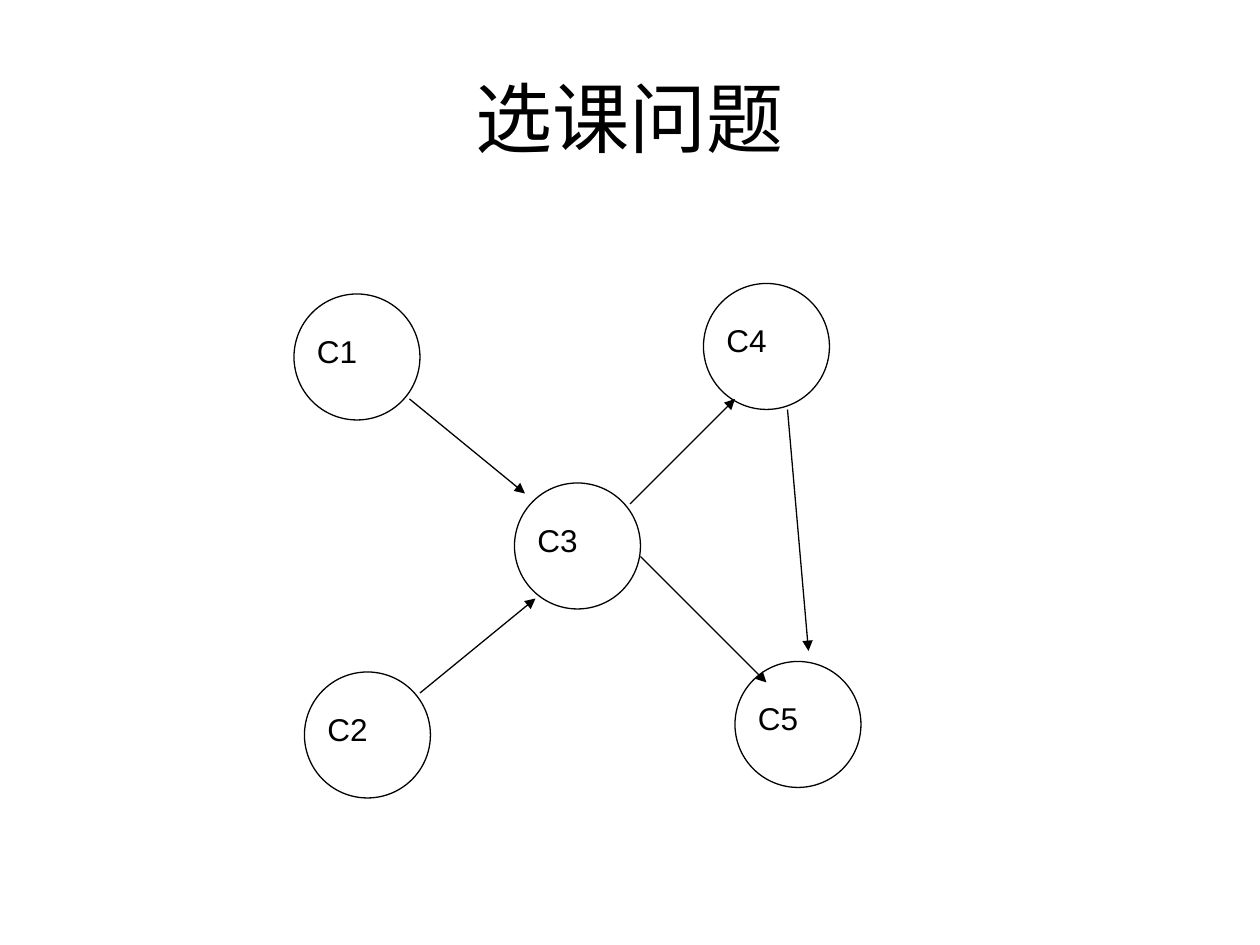
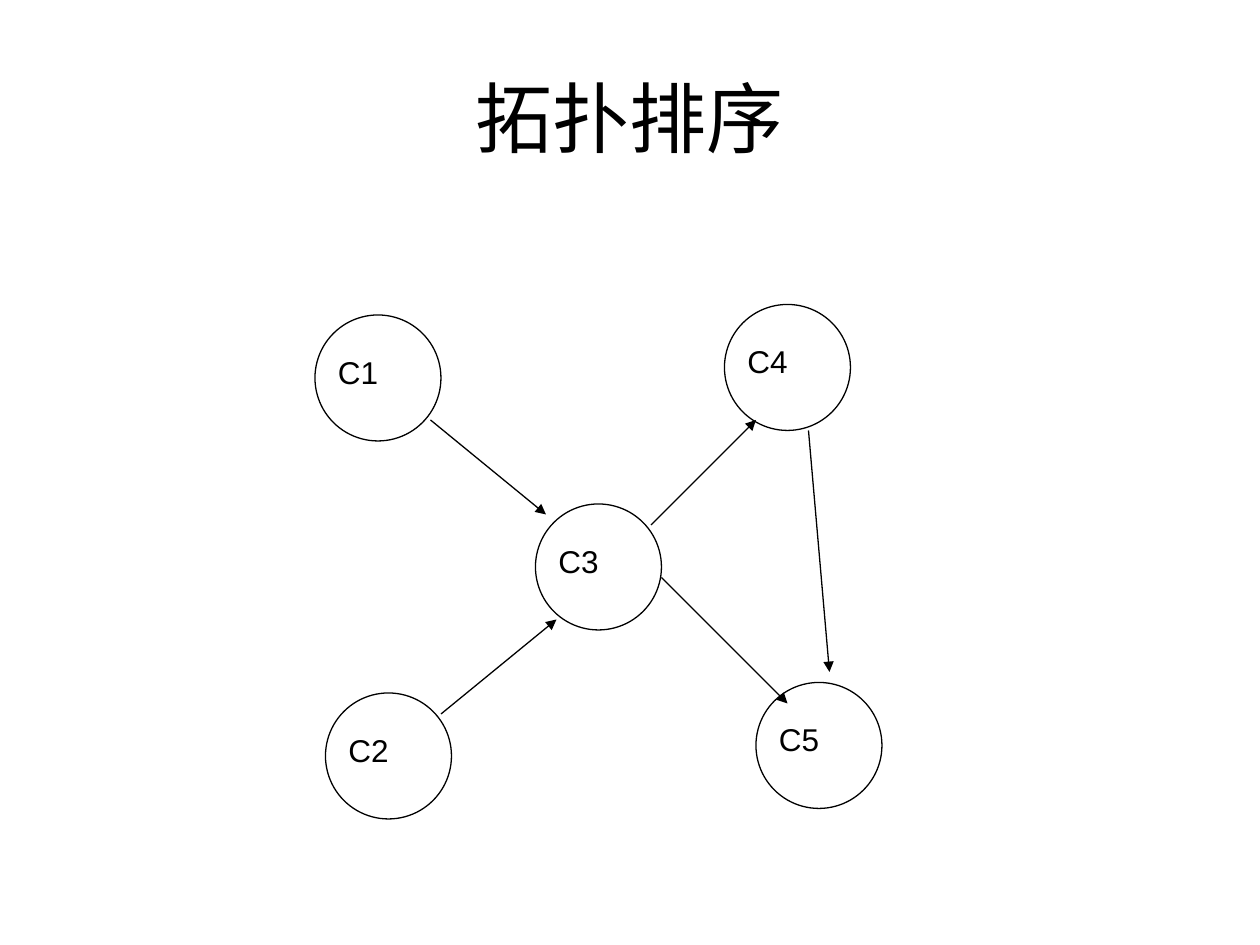
import pptx
import pptx.util
import pptx.dml.color
import pptx.enum.shapes
import pptx.enum.text
import pptx.oxml.ns
from lxml import etree

Pt = pptx.util.Pt
ALIGN = pptx.enum.text.PP_ALIGN
ANCHOR = pptx.enum.text.MSO_ANCHOR
COLORS = {"ink": "000000"}
NODES = {
    "C1": (168, 168),
    "C4": (402, 162),
    "C2": (174, 384),
    "C5": (420, 378),
    "C3": (294, 276),
}
EDGES = [
    ((234, 228), (300, 282)),
    ((240, 396), (306, 342)),
    ((366, 318), (438, 390)),
    ((360, 288), (420, 228)),
    ((450, 234), (462, 372)),
]
SLIDES = [("选课问题", 0), ("拓扑排序", 12)]


class Deck:
    face = "Arial"
    width = 0.75
    side = 72

    def __init__(self):
        self.prs = pptx.Presentation()
        self.prs.slide_width = Pt(720)
        self.prs.slide_height = Pt(540)
        self.ink = pptx.dml.color.RGBColor.from_string(COLORS["ink"])

    def page(self):
        self.slide = self.prs.slides.add_slide(self.prs.slide_layouts[6])

    def pen(self, line):
        line.color.rgb = self.ink
        line.width = Pt(self.width)

    def text(self, shapes, words, box, size, align, anchor):
        frame = shapes.add_textbox(*map(Pt, box)).text_frame
        frame.word_wrap = True
        frame.vertical_anchor = anchor
        para = frame.paragraphs[0]
        para.text = words
        para.alignment = align
        para.font.size = Pt(size)
        para.font.name = self.face
        para.font.color.rgb = self.ink

    def title(self, words):
        box = (36, 21.6, 648, 90)
        self.text(self.slide.shapes, words, box, 44, ALIGN.CENTER, ANCHOR.MIDDLE)

    def node(self, name, left, top):
        shapes = self.slide.shapes.add_group_shape().shapes
        disc = shapes.add_shape(
            pptx.enum.shapes.MSO_SHAPE.OVAL,
            Pt(left), Pt(top), Pt(self.side), Pt(self.side))
        disc.shadow.inherit = False
        disc.fill.background()
        self.pen(disc.line)
        box = (left + 6, top + 18, 54, 28.8)
        self.text(shapes, name, box, 18, ALIGN.LEFT, ANCHOR.TOP)

    def arrow(self, start, end):
        edge = self.slide.shapes.add_connector(
            pptx.enum.shapes.MSO_CONNECTOR.STRAIGHT, *map(Pt, start + end))
        self.pen(edge.line)
        qn = pptx.oxml.ns.qn
        props = edge.element.spPr
        etree.SubElement(props.find(qn("a:ln")), qn("a:tailEnd"), type="triangle")
        etree.SubElement(props, qn("a:effectLst"))

    def graph(self, shift):
        for name, (left, top) in NODES.items():
            self.node(name, left + shift, top + shift)
        for ends in EDGES:
            self.arrow(*[(x + shift, y + shift) for x, y in ends])


def main():
    deck = Deck()
    for words, shift in SLIDES:
        deck.page()
        deck.title(words)
        deck.graph(shift)
    deck.prs.save("out.pptx")


if __name__ == "__main__":
    main()
